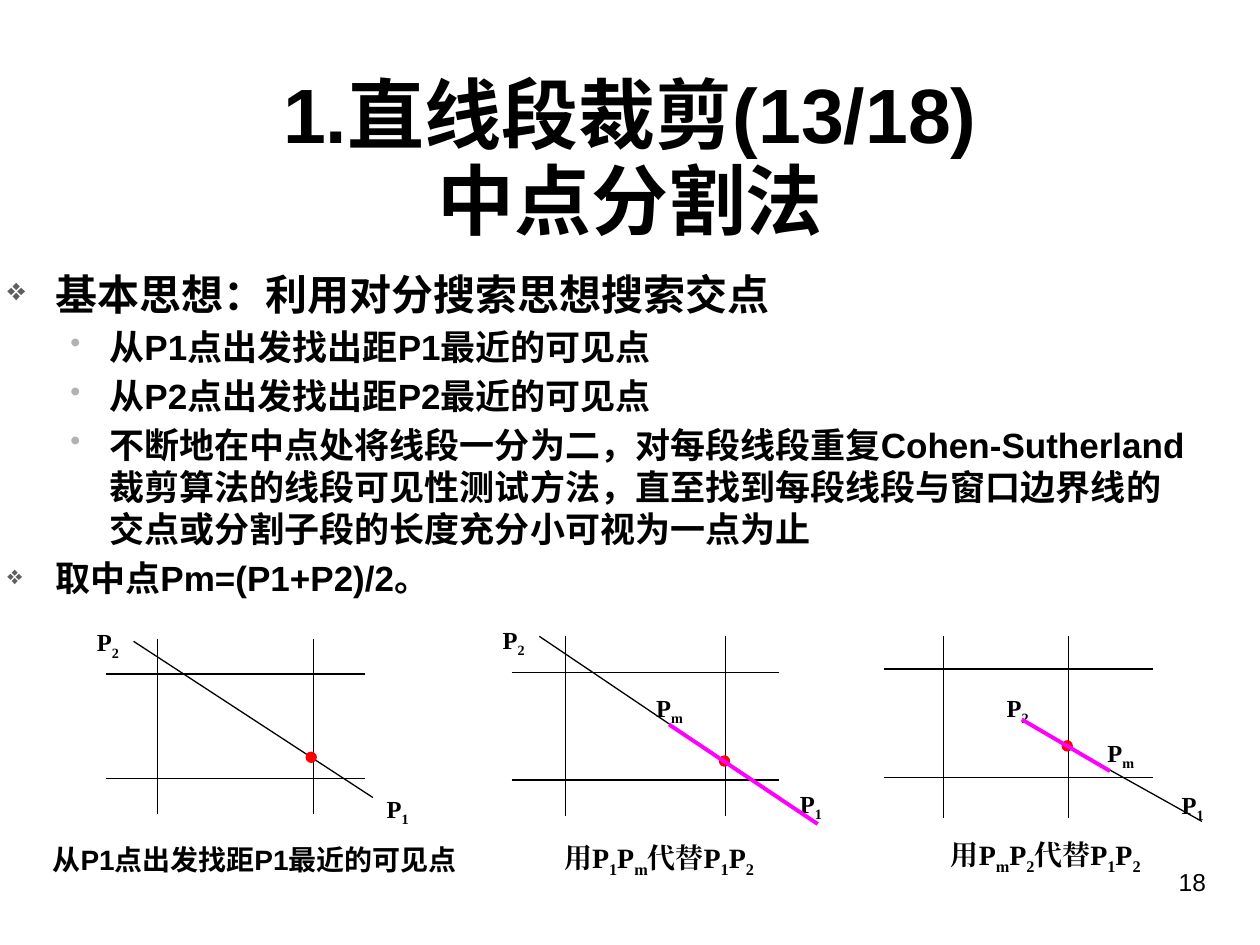
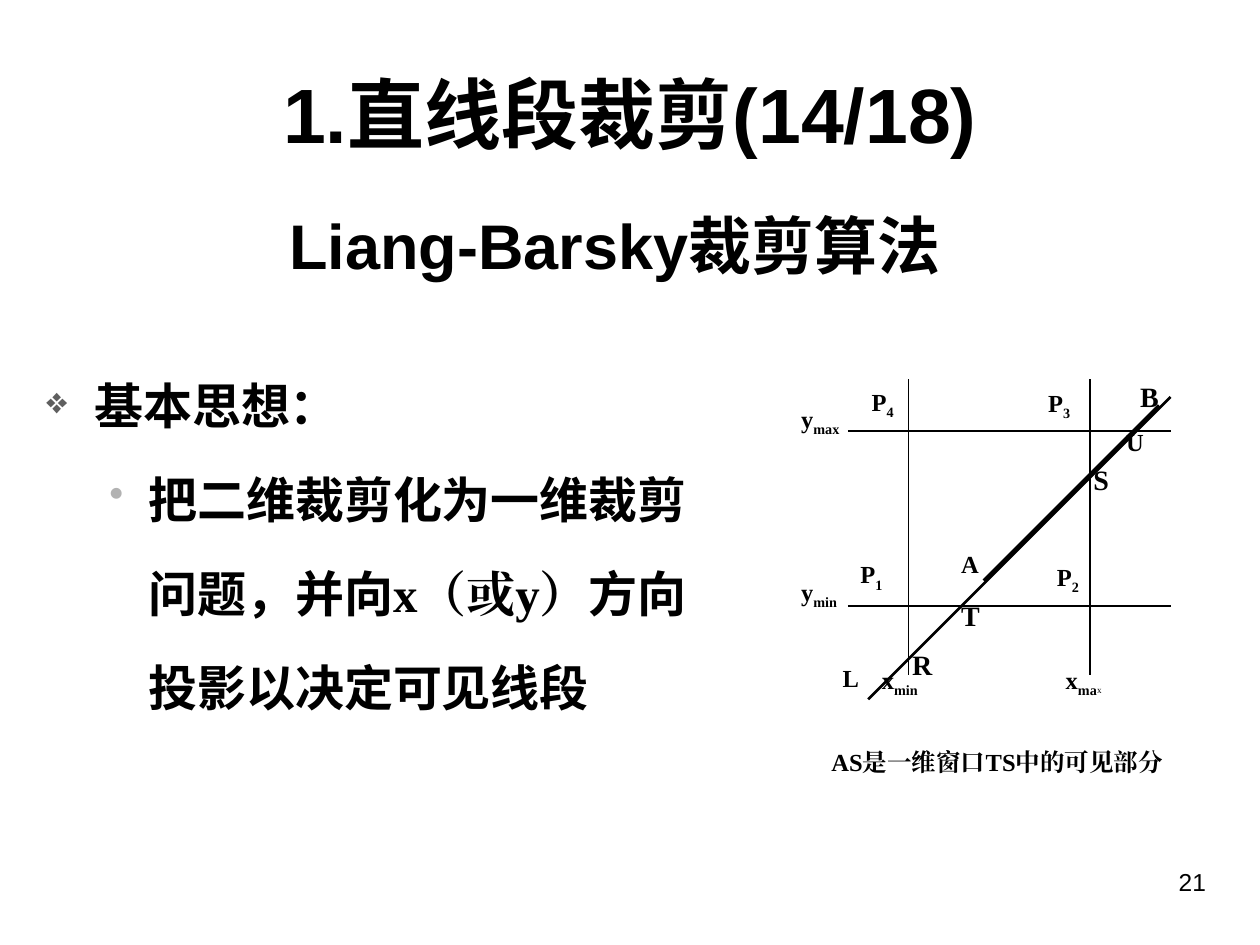
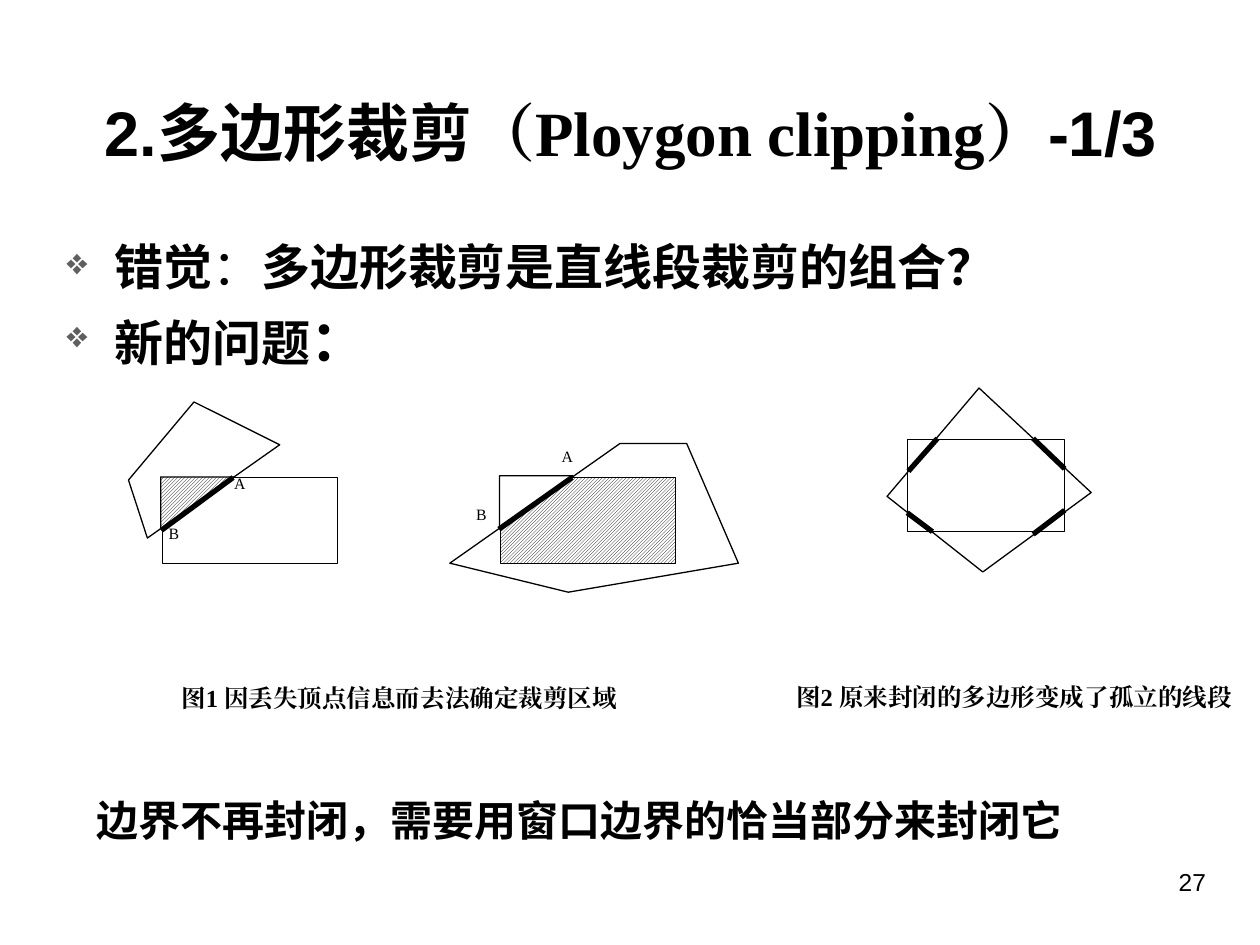
from lxml import etree
from pptx import Presentation
from pptx.dml.color import RGBColor
from pptx.enum.dml import MSO_PATTERN
from pptx.enum.shapes import MSO_CONNECTOR, MSO_SHAPE
from pptx.enum.text import MSO_ANCHOR, PP_ALIGN
from pptx.oxml.ns import qn
from pptx.util import Inches, Pt

SANS, SERIF = "Arial", "Times New Roman"
BLACK, WHITE, RED, MAGENTA = "000000", "FFFFFF", "FF0000", "FF00FF"
LEFT, CENTER, RIGHT, JUSTIFY = PP_ALIGN.LEFT, PP_ALIGN.CENTER, PP_ALIGN.RIGHT, PP_ALIGN.JUSTIFY
TOP, MIDDLE = MSO_ANCHOR.TOP, MSO_ANCHOR.MIDDLE
STRAIGHT = MSO_CONNECTOR.STRAIGHT
RECTANGLE, OVAL, TRIANGLE = MSO_SHAPE.RECTANGLE, MSO_SHAPE.OVAL, MSO_SHAPE.RIGHT_TRIANGLE
HATCH = MSO_PATTERN.LIGHT_UPWARD_DIAGONAL
HATCHED = "hatched"
BULLETS = [("❖", "5F5F5F", 75, 0.38, -0.38), ("•", "B2B2B2", 85, 0.81, -0.31)]


def color(value):
    return RGBColor.from_string(value)


def indexed(*parts):
    return [(text, {"sub": i % 2 == 1}) for i, text in enumerate(parts)]


class SlideMaker:
    def __init__(self):
        self.deck = Presentation()
        self.deck.slide_width, self.deck.slide_height = Inches(10), Inches(7.5)
        self.page = None

    def start(self, number):
        self.page = self.deck.slides.add_slide(self.deck.slide_layouts[6])
        self.text(7.17, 6.83, 2.5, 0.52, str(number), 14, bold=False, align=RIGHT)

    def box(self, left, top, width, height, anchor=TOP, wrap=True):
        box = self.page.shapes.add_textbox(Inches(left), Inches(top), Inches(width), Inches(height))
        box.text_frame.word_wrap = wrap
        box.text_frame.vertical_anchor = anchor
        return box.text_frame

    def fill_paragraph(self, para, spans, size, font=SANS, bold=True):
        if isinstance(spans, str):
            spans = [(spans, {})]
        for text, change in spans:
            span = para.add_run()
            span.text = text
            span.font.size = Pt(change.get("size", size))
            span.font.bold = change.get("bold", bold)
            span.font.name = change.get("font", font)
            span.font.color.rgb = color(BLACK)
            properties = span._r.get_or_add_rPr()
            east_asian = etree.SubElement(properties, qn("a:ea"))
            east_asian.set("typeface", span.font.name)
            if change.get("sub"):
                properties.set("baseline", "-25000")

    def text(self, left, top, width, height, spans, size, font=SANS, bold=True,
             align=LEFT, anchor=TOP, wrap=True):
        para = self.box(left, top, width, height, anchor, wrap).paragraphs[0]
        para.alignment = align
        self.fill_paragraph(para, spans, size, font, bold)

    def title(self, left, top, width, height, spans, size=44):
        self.text(left, top, width, height, spans, size, align=CENTER, anchor=MIDDLE)

    def chapter(self, part):
        self.title(0.75, 0.48, 8.5, 0.83, f"1.直线段裁剪({part}/18)")

    def label(self, left, top, spans, size=14, bold=True, width=0.63):
        self.text(left, top, width, 0.42, spans, size, SERIF, bold, JUSTIFY)

    def bullets(self, left, top, width, height, items, before=0, line_spacing=None):
        frame = self.box(left, top, width, height)
        for i, (level, spans, size) in enumerate(items):
            para = frame.paragraphs[0] if i == 0 else frame.add_paragraph()
            para.level = level
            mark, tint, percent, margin, indent = BULLETS[level]
            properties = para._p.get_or_add_pPr()
            properties.set("marL", str(Inches(margin)))
            properties.set("indent", str(Inches(indent)))
            bullet_color = etree.SubElement(properties, qn("a:buClr"))
            etree.SubElement(bullet_color, qn("a:srgbClr")).set("val", tint)
            etree.SubElement(properties, qn("a:buSzPct")).set("val", str(percent * 1000))
            etree.SubElement(properties, qn("a:buChar")).set("char", mark)
            if i > 0:
                para.space_before = Pt(before)
            if line_spacing:
                para.line_spacing = line_spacing
            self.fill_paragraph(para, spans, size)

    def line(self, x1, y1, x2, y2, width=0.75, stroke=BLACK):
        line = self.page.shapes.add_connector(STRAIGHT, Inches(x1), Inches(y1), Inches(x2), Inches(y2))
        line.line.color.rgb = color(stroke)
        line.line.width = Pt(width)
        etree.SubElement(line._element.spPr, qn("a:effectLst"))

    def window(self, left, right, rows, top, bottom, columns):
        for y in rows:
            self.line(left, y, right, y)
        for x in columns:
            self.line(x, top, x, bottom)

    def paint(self, shape, fill, stroke=BLACK):
        shape.shadow.inherit = False
        if fill is None:
            shape.fill.background()
        elif fill == HATCHED:
            shape.fill.patterned()
            shape.fill.pattern = HATCH
            shape.fill.fore_color.rgb = color(BLACK)
            shape.fill.back_color.rgb = color(WHITE)
        else:
            shape.fill.solid()
            shape.fill.fore_color.rgb = color(fill)
        shape.line.color.rgb = color(stroke)
        shape.line.width = Pt(0.75)

    def shape(self, kind, left, top, width, height, fill=None, stroke=BLACK, rotation=0):
        shape = self.page.shapes.add_shape(kind, Inches(left), Inches(top), Inches(width), Inches(height))
        shape.rotation = rotation
        self.paint(shape, fill, stroke)

    def dot(self, left, top):
        self.shape(OVAL, left, top, 0.08, 0.08, RED, RED)

    def polygon(self, points):
        corners = [(Inches(x), Inches(y)) for x, y in points]
        builder = self.page.shapes.build_freeform(*corners[0], scale=1.0)
        builder.add_line_segments(corners[1:], close=True)
        self.paint(builder.convert_to_shape(), WHITE)


def midpoint_slide(maker):
    maker.start(18)
    maker.chapter(13)
    maker.title(0.33, 1.14, 9.34, 0.88, "中点分割法")
    maker.bullets(-0.04, 2.08, 9.61, 2.85, [
        (0, "基本思想：利用对分搜索思想搜索交点", 24),
        (1, "从P1点出发找出距P1最近的可见点", 20),
        (1, "从P2点出发找出距P2最近的可见点", 20),
        (1, "不断地在中点处将线段一分为二，对每段线段重复Cohen-Sutherland裁剪算法的线段可见性测试方法，"
            "直至找到每段线段与窗口边界线的交点或分割子段的长度充分小可视为一点为止", 20),
        (0, "取中点Pm=(P1+P2)/2。", 20),
    ], before=4)

    maker.window(0.84, 2.9, (5.35, 6.18), 5.07, 6.46, (1.25, 2.49))
    maker.window(4.06, 6.18, (5.34, 6.19), 5.05, 6.48, (4.49, 5.76))
    maker.window(7.02, 9.15, (5.31, 6.17), 5.05, 6.49, (7.49, 8.48))
    for segment in [(1.06, 5.09, 2.96, 6.33), (4.28, 5.05, 6.4, 6.48), (8.27, 5.81, 9.54, 6.52)]:
        maker.line(*segment)
    for left, top, index in [(0.67, 4.93, "2"), (2.97, 6.25, "1"),
                             (3.89, 4.91, "2"), (5.11, 5.45, "m"), (6.25, 6.21, "1"),
                             (7.89, 5.45, "2"), (8.69, 5.81, "m"), (9.28, 6.22, "1")]:
        maker.label(left, top, indexed("P", index))
    for left, top in [(2.43, 5.97), (5.71, 6), (8.43, 5.88)]:
        maker.dot(left, top)
    for segment in [(5.31, 5.75, 6.49, 6.54), (8.11, 5.71, 8.81, 6.12)]:
        maker.line(*segment, width=2.25, stroke=MAGENTA)

    maker.text(0.32, 6.64, 3.5, 0.41, "从P1点出发找距P1最近的可见点", 16, align=JUSTIFY)
    for left, top, width, kept in [(3.64, 6.62, 3.18, "1m"), (6.6, 6.6, 3.4, "m2")]:
        spans = indexed("用P", kept[0], "P", kept[1], "代替P", "1", "P", "2")
        maker.text(left, top, width, 0.43, spans, 16, SERIF, align=CENTER)


def liang_barsky_slide(maker):
    maker.start(21)
    maker.chapter(14)
    maker.title(1.77, 1.43, 6.22, 1.02, "Liang-Barsky裁剪算法", 36)
    maker.bullets(0.27, 2.65, 5.36, 3.78, [
        (0, "基本思想：", 28),
        (1, [("把二维裁剪化为一维裁剪问题，并向", {}), ("x（或y）", {"font": SERIF}),
             ("方向投影以决定可见线段", {})], 28),
    ], line_spacing=1.6)

    maker.window(6.73, 9.29, (3.42, 4.81), 3.01, 5.36, (7.21, 8.65))
    for left, top, name, index in [(6.82, 3.02, "P", "4"), (6.73, 4.39, "P", "1"),
                                   (8.22, 3.03, "P", "3"), (8.29, 4.41, "P", "2"),
                                   (6.26, 3.16, "y", "max"), (6.26, 4.53, "y", "min"),
                                   (6.9, 5.23, "x", "min")]:
        maker.label(left, top, indexed(name, index))
    small_x = ("x", {"sub": True, "size": 9, "bold": False})
    maker.label(8.36, 5.23, indexed("x", "ma") + [small_x])
    for left, top, name, size in [(7.14, 5.09, "R", 16), (7.53, 4.7, "T", 16), (8.58, 3.62, "S", 16),
                                  (8.84, 3.34, "U", 14), (6.59, 5.21, "L", 14), (7.53, 4.31, "A", 14),
                                  (8.95, 2.96, "B", 16)]:
        maker.label(left, top, name, size, width=0.47)
    maker.line(9.29, 3.15, 6.89, 5.55, 1.5)
    maker.line(9.2, 3.22, 7.81, 4.61, 2.25)
    maker.label(6.5, 5.88, "AS是一维窗口TS中的可见部分", width=2.88)


def polygon_slide(maker):
    maker.start(27)
    maker.title(0.2, 0.42, 9.61, 1.25, [
        ("2.多边形裁剪", {}), ("（Ploygon clipping）", {"font": SERIF}), ("-1/3", {})], 36)
    maker.bullets(0.43, 1.83, 9.29, 1.52, [
        (0, [("错觉", {}), ("：", {"bold": False}), ("多边形裁剪是直线段裁剪的组合？", {})], 28),
        (0, [("新的问题", {}), ("：", {"size": 32})], 28),
    ], before=5.6)

    maker.polygon([(1.17, 4.27), (2.22, 3.53), (1.54, 3.19), (1.02, 3.81)])
    maker.shape(RECTANGLE, 1.29, 3.79, 1.39, 0.68)
    maker.shape(TRIANGLE, 1.36, 3.7, 0.41, 0.58, HATCHED, rotation=90)
    maker.line(1.28, 4.21, 1.85, 3.79, 3)

    maker.polygon([(4.92, 3.52), (3.57, 4.47), (4.51, 4.7), (5.86, 4.47), (5.45, 3.52)])
    maker.shape(RECTANGLE, 3.97, 3.79, 1.39, 0.68, HATCHED)
    maker.shape(TRIANGLE, 4.05, 3.69, 0.41, 0.58, WHITE, rotation=90)
    maker.line(3.96, 4.2, 4.54, 3.79, 3)
    for left, top, name in [(1.76, 3.71, "A"), (1.24, 4.11, "B"), (4.36, 3.5, "A"), (3.68, 3.96, "B")]:
        maker.label(left, top, name, 9, bold=False, width=0.4)

    maker.polygon([(7.77, 3.08), (7.04, 3.94), (7.8, 4.54), (8.66, 3.91)])
    maker.shape(RECTANGLE, 7.2, 3.49, 1.25, 0.73)
    for segment in [(7.44, 3.48, 7.21, 3.74), (8.45, 4.05, 8.2, 4.24),
                    (8.2, 3.48, 8.45, 3.72), (7.2, 4.07, 7.4, 4.22)]:
        maker.line(*segment, width=3)

    maker.label(1.34, 5.37, "图1 因丢失顶点信息而去法确定裁剪区域", width=4.23)
    maker.label(6.22, 5.36, "图2 原来封闭的多边形变成了孤立的线段", width=3.78)
    maker.text(0.67, 6.26, 7.87, 0.5, "边界不再封闭，需要用窗口边界的恰当部分来封闭它", 24, wrap=False)


def main():
    maker = SlideMaker()
    midpoint_slide(maker)
    liang_barsky_slide(maker)
    polygon_slide(maker)
    maker.deck.save("out.pptx")


if __name__ == "__main__":
    main()
